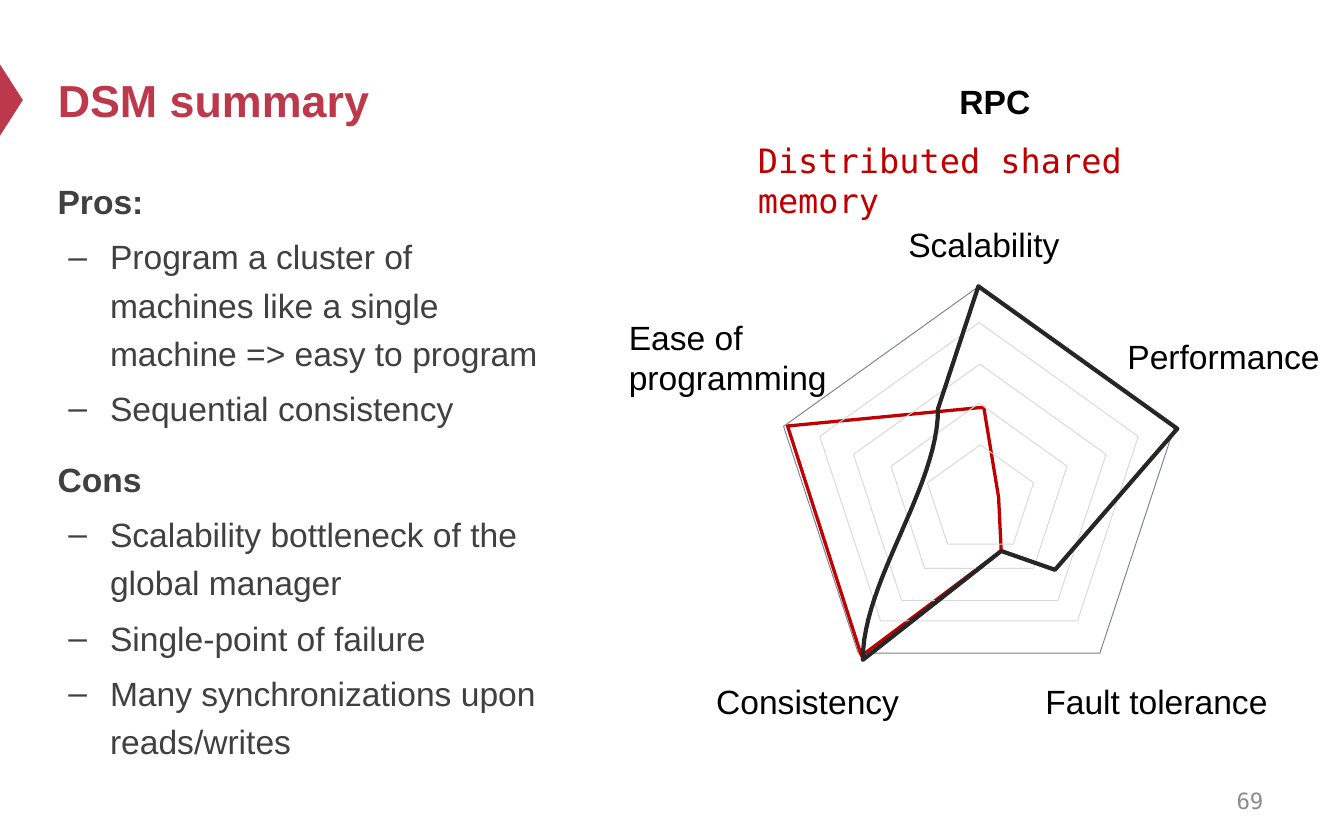
from pptx import Presentation
from pptx.dml.color import RGBColor
from pptx.enum.shapes import MSO_SHAPE
from pptx.enum.text import MSO_ANCHOR, MSO_AUTO_SIZE, PP_ALIGN
from pptx.oxml.ns import qn
from pptx.util import Inches, Pt
from lxml import etree

TRIANGLE, PENTAGON = MSO_SHAPE.ISOSCELES_TRIANGLE, MSO_SHAPE.REGULAR_PENTAGON
TOP, MIDDLE = MSO_ANCHOR.TOP, MSO_ANCHOR.MIDDLE
LEFT, RIGHT = PP_ALIGN.LEFT, PP_ALIGN.RIGHT
FIT_SHAPE, NO_FIT = MSO_AUTO_SIZE.SHAPE_TO_FIT_TEXT, MSO_AUTO_SIZE.NONE

CRIMSON = RGBColor(0xBE, 0x38, 0x4B)
BODY_GREY = RGBColor(0x40, 0x40, 0x40)
NUMBER_GREY = RGBColor(0x8C, 0x8C, 0x8C)
BLACK = RGBColor(0, 0, 0)
DSM_RED = RGBColor(0xC0, 0, 0)
RPC_BLACK = RGBColor(0x26, 0x26, 0x26)
FRAME_BLUE = RGBColor(0x77, 0x84, 0x95)
RING_GREY = RGBColor(0xD9, 0xD9, 0xD9)
SANS, MONO = "Arial", "DejaVu Sans Mono"

POINTS = [
    ("Pros:", [
        "Program a cluster of machines like a single machine => easy to program",
        "Sequential consistency",
    ]),
    ("Cons", [
        "Scalability bottleneck of the global manager",
        "Single-point of failure",
        "Many synchronizations upon reads/writes",
    ]),
]
AXIS_LABELS = [
    ("Scalability", 0.83, -0.51, 1.34, 0.4),
    ("Consistency", -0.6, 2.89, 1.58, 0.4),
    ("Fault tolerance", 1.85, 2.89, 1.94, 0.4),
    ("Ease of\nprogramming", -1.25, 0.18, 1.69, 0.71),
    ("Performance", 2.46, 0.32, 1.65, 0.4),
]
RINGS = [
    (0.27, 0.27, 2.37, 2.22),
    (0.52, 0.58, 1.88, 1.76),
    (0.8, 0.87, 1.31, 1.23),
    (1.07, 1.18, 0.79, 0.74),
]
DSM_SCORES = [(0.03, 1.04), (1.49, 0.9), (1.6, 1.57), (1.62, 1.97), (0.58, 2.75)]
RPC_SCORES = [(1.15, 0.91), (1.45, 0), (2.93, 1.06), (2.02, 2.11), (1.62, 1.97), (0.59, 2.78)]
RPC_CURVE = [(0.59, 2.78), (0.59, 2.19), (1.15, 1.5), (1.15, 0.91)]


def place(s, box):
    s.left, s.top, s.width, s.height = (Inches(v) for v in box)


def write(p, text, size=18, font=SANS, color=BLACK, bold=False, align=LEFT):
    r = p.add_run()
    r.text = text
    r.font.size, r.font.name, r.font.bold = Pt(size), font, bold
    r.font.color.rgb = color
    p.alignment = align


def add_text(slide, box, text="", wrap=False, fit=FIT_SHAPE, anchor=TOP, **style):
    s = slide.shapes.add_textbox(*(Inches(v) for v in box))
    tf = s.text_frame
    tf.word_wrap, tf.auto_size, tf.vertical_anchor = wrap, fit, anchor
    for i, line in enumerate(text.split("\n")):
        p = tf.add_paragraph() if i else tf.paragraphs[0]
        if line:
            write(p, line, **style)
    return tf


def style_outline(s, color, width):
    s.shadow.inherit = False
    s.fill.background()
    s.line.color.rgb = color
    s.line.width = Pt(width)


def add_pentagon(slide, box, color):
    s = slide.shapes.add_shape(PENTAGON, *(Inches(v) for v in box))
    style_outline(s, color, 0.5)


def add_outline(slide, origin, points, color, width):
    x, y = origin
    corners = [(Inches(x + dx), Inches(y + dy)) for dx, dy in points]
    builder = slide.shapes.build_freeform(*corners[0])
    builder.add_line_segments(corners[1:], close=True)
    style_outline(builder.convert_to_shape(), color, width)


def bezier(controls, steps=24):
    points = []
    for i in range(1, steps):
        t = i / steps
        weights = ((1 - t) ** 3, 3 * t * (1 - t) ** 2, 3 * t * t * (1 - t), t ** 3)
        points.append(tuple(sum(w * c[k] for w, c in zip(weights, controls)) for k in (0, 1)))
    return points


def add_bullet(p):
    pPr = p._p.get_or_add_pPr()
    pPr.set("marL", str(Inches(0.39)))
    pPr.set("indent", str(Inches(-0.31)))
    etree.SubElement(pPr, qn("a:buFont")).set("typeface", SANS)
    etree.SubElement(pPr, qn("a:buChar")).set("char", "–")


def add_header(slide, box):
    marker = slide.shapes.add_shape(TRIANGLE, 0, 0, 0, 0)
    place(marker, (box[0] - 0.51, box[1] + 0.41, 0.53, 0.17))
    marker.rotation = 90
    marker.shadow.inherit = False
    marker.fill.solid()
    marker.fill.fore_color.rgb = CRIMSON
    marker.line.fill.background()
    title = slide.shapes.title
    place(title, box)
    title.text_frame.vertical_anchor = MIDDLE
    write(title.text_frame.paragraphs[0], "DSM summary", size=24, color=CRIMSON, bold=True)


def add_points(slide, box):
    tf = add_text(slide, box, wrap=True, fit=NO_FIT)
    for i, (heading, items) in enumerate(POINTS):
        p = tf.add_paragraph() if i else tf.paragraphs[0]
        p.line_spacing = 1.2
        if i:
            p.space_before = Pt(12)
        write(p, heading, color=BODY_GREY, bold=True)
        for item in items:
            p = tf.add_paragraph()
            p.level = 1
            p.line_spacing, p.space_before = 1.2, Pt(3.6)
            add_bullet(p)
            write(p, item, color=BODY_GREY)


def add_radar(slide, box):
    x, y = origin = box[:2]
    for text, dx, dy, w, h in AXIS_LABELS:
        add_text(slide, (x + dx, y + dy, w, h), text)
    add_pentagon(slide, box, FRAME_BLUE)
    add_outline(slide, origin, DSM_SCORES, DSM_RED, 1.75)
    for dx, dy, w, h in RINGS:
        add_pentagon(slide, (x + dx, y + dy, w, h), RING_GREY)
    add_outline(slide, origin, RPC_SCORES + bezier(RPC_CURVE), RPC_BLACK, 2.25)


def add_legend(slide, box):
    x, y, w, h = box
    add_text(slide, (x + 1.5, y, 0.81, 0.4), "RPC", bold=True)
    add_text(slide, (x, y + 0.44, w, h - 0.44), "Distributed shared memory",
             wrap=True, font=MONO, color=DSM_RED)


def main():
    prs = Presentation()
    prs.slide_width, prs.slide_height = Inches(10), Inches(6.25)
    slide = prs.slides.add_slide(prs.slide_layouts[5])
    add_header(slide, (0.33, 0.25, 9, 0.98))
    add_points(slide, (0.33, 1.24, 3.95, 4.56))
    add_text(slide, (7.17, 5.79, 2.33, 0.33), "69", wrap=True, fit=NO_FIT, anchor=MIDDLE,
             size=12, font=MONO, color=NUMBER_GREY, align=RIGHT)
    add_radar(slide, (5.83, 2.13, 2.91, 2.73))
    add_legend(slide, (5.54, 0.55, 3.8, 1.15))
    prs.save("out.pptx")


if __name__ == "__main__":
    main()
